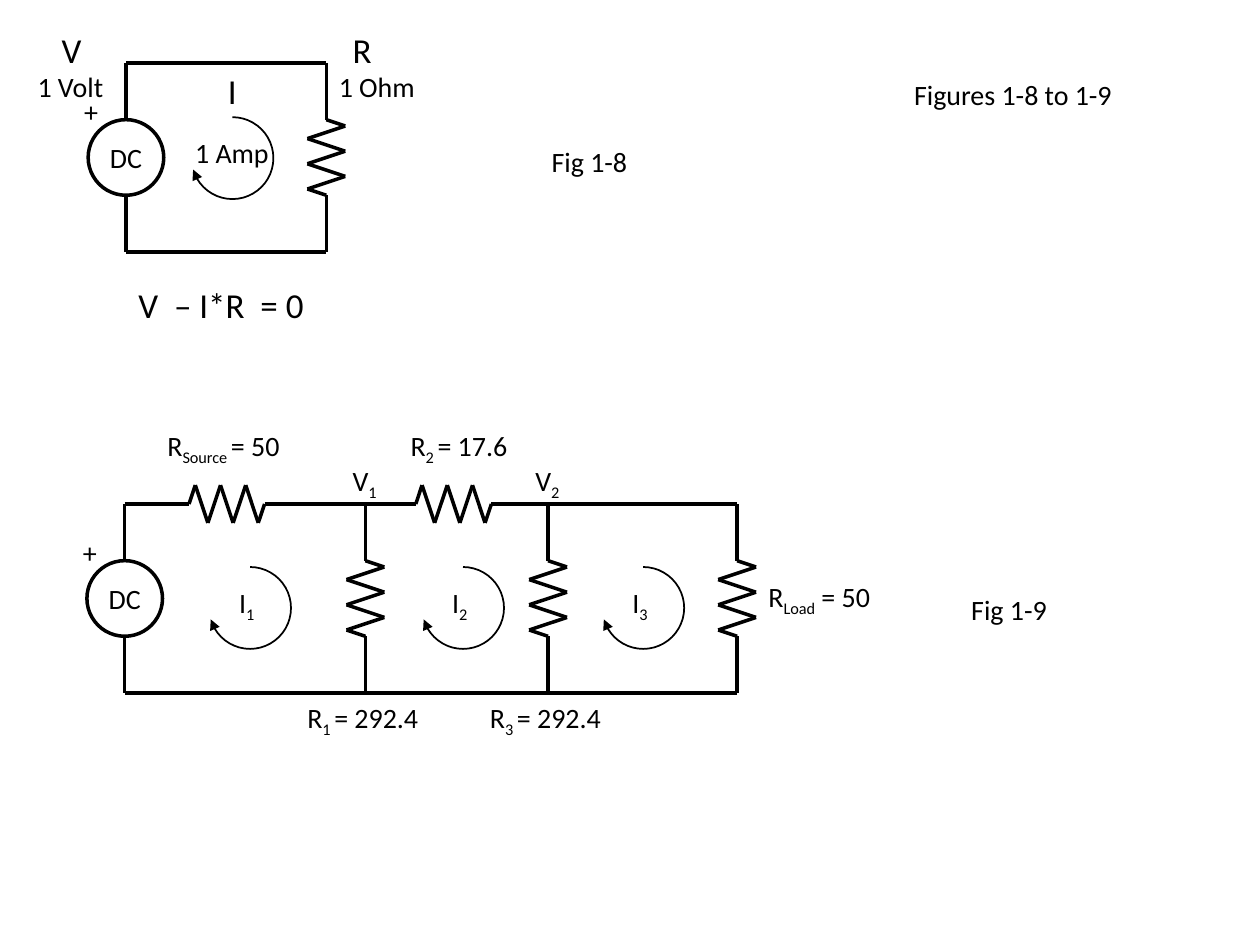
from dataclasses import dataclass
from itertools import pairwise

from lxml import etree
from pptx import Presentation
from pptx import util as u
from pptx.dml import color
from pptx.enum import shapes, text
from pptx.oxml import ns


@dataclass(frozen=True)
class Theme:
    ink: color.RGBColor = color.RGBColor(0, 0, 0)
    font: str = "Calibri"
    body: int = 16
    large: int = 20
    wire: float = 2
    loop: float = 1


THEME = Theme()
HEIGHT = 1.5
PART = 0.6
LEAD = (HEIGHT - PART) / 2
LOOP = 0.65
SWING = 0.15
ZIGZAG = [(0, 0), *[(SWING * (-1) ** i, 0.05 + 0.1 * i) for i in range(6)], (0, PART)]


def box(x, y, w, h):
    return [u.Inches(v) for v in (x, y, w, h)]


def write(tf, content, size=THEME.body, align=None, wrap=False):
    tf.word_wrap = wrap
    p = tf.paragraphs[0]
    p.alignment = align
    for i, part in enumerate(content.split("_")):
        if not part:
            continue
        r = p.add_run()
        r.text = part
        r.font.name, r.font.size = THEME.font, u.Pt(size)
        r.font.color.rgb = THEME.ink
        if i % 2:
            r._r.get_or_add_rPr().set("baseline", "-25000")


def label(s, content, x, y, w, **fmt):
    h = 0.44 if fmt.get("size") == THEME.large else 0.37
    tf = s.shapes.add_textbox(*box(x, y, w, h)).text_frame
    write(tf, content, **fmt)
    tf.auto_size = text.MSO_AUTO_SIZE.SHAPE_TO_FIT_TEXT


def outline(sp, width):
    sp.line.color.rgb = THEME.ink
    sp.line.width = u.Pt(width)


def wire(parent, x1, y1, x2, y2):
    ends = [u.Inches(v) for v in (x1, y1, x2, y2)]
    line = parent.shapes.add_connector(shapes.MSO_CONNECTOR.STRAIGHT, *ends)
    outline(line, THEME.wire)
    etree.SubElement(line._element.spPr, ns.qn("a:effectLst"))


def resistor(s, x, y, horizontal=False):
    group = s.shapes.add_group_shape()
    points = [(x + b, y - a) if horizontal else (x + a, y + b) for a, b in ZIGZAG]
    for start, end in pairwise(points):
        wire(group, *start, *end)


def leads(s, x, y):
    wire(s, x, y, x, y + LEAD)
    wire(s, x, y + LEAD + PART, x, y + HEIGHT)


def resistor_branch(s, x, y):
    leads(s, x, y)
    resistor(s, x, y + LEAD)


def source_branch(s, x, y):
    leads(s, x, y)
    sp = s.shapes.add_shape(
        shapes.MSO_SHAPE.OVAL, *box(x - PART / 2, y + LEAD, PART, PART))
    sp.shadow.inherit = False
    sp.fill.background()
    outline(sp, THEME.wire)
    tf = sp.text_frame
    tf.margin_left = tf.margin_right = tf.margin_top = tf.margin_bottom = 0
    tf.vertical_anchor = text.MSO_ANCHOR.MIDDLE
    write(tf, "DC", align=text.PP_ALIGN.CENTER, wrap=True)
    label(s, "+", x - 0.43, y + 0.2, 0.31)


def current_loop(s, x, y):
    sp = s.shapes.add_shape(shapes.MSO_SHAPE.ARC, *box(x, y, LOOP, LOOP))
    sp.adjustments[0], sp.adjustments[1] = 162, 98.286
    sp.shadow.inherit = False
    sp.fill.background()
    outline(sp, THEME.loop)
    etree.SubElement(sp.line._get_or_add_ln(), ns.qn("a:tailEnd"), type="triangle")


def single_loop(s, x, y, w):
    right, bottom = x + w, y + HEIGHT
    source_branch(s, x, y)
    resistor_branch(s, right, y)
    for level in (y, bottom):
        wire(s, x, level, right, level)
    current_loop(s, x + 0.52, y + 0.43)
    label(s, "1 Volt", x - 0.8, y, 0.74)
    label(s, "1 Ohm", right, y, 0.82)
    label(s, "1 Amp", x + 0.45, y + 0.53, 0.81)
    label(s, "V", x - 0.61, y - 0.32, 0.37, size=THEME.large)
    label(s, "R", right + 0.11, y - 0.32, 0.36, size=THEME.large)
    label(s, "I", x + 0.71, y, 0.28, size=THEME.large)
    label(s, "V  – I*R  = 0", x, bottom + 0.2, 1.54, size=THEME.large)
    label(s, "Fig 1-8", x + 3.28, y + 0.6, 0.81)


def ladder(s, x, y, w):
    right, bottom = x + w, y + HEIGHT
    shunts = [x + 1.91, x + 3.36]
    series = [x + 0.51, x + 2.31]
    source_branch(s, x, y)
    for branch in (*shunts, right):
        resistor_branch(s, branch, y)
    for left in series:
        resistor(s, left, y, horizontal=True)
    stops = [x, *[v for left in series for v in (left, left + PART)], right]
    for start, end in zip(stops[::2], stops[1::2]):
        wire(s, start, y, end, y)
    wire(s, x, bottom, right, bottom)
    for i, left in enumerate((x + 0.67, x + 2.36, x + 3.79), 1):
        current_loop(s, left, y + 0.5)
        label(s, f"I_{i}_", left + 0.14, y + 0.6, 0.33)
    for i, branch in enumerate(shunts, 1):
        label(s, f"V_{i}_", branch - 0.2, y - 0.37, 0.41)
        label(s, f"R_{2 * i - 1} _= 292.4", branch - 0.56, bottom + 0.01, 1.11)
    label(s, "R_Source _= 50", x + 0.24, y - 0.65, 1.15)
    label(s, "R_2 _= 17.6", x + 2.17, y - 0.65, 0.99)
    label(s, "R_Load_ = 50", right + 0.15, y + 0.55, 1.15, wrap=True)
    label(s, "Fig 1-9", x + 6.62, y + 0.65, 0.81)


def heading(s, x, y, w, h):
    sp = s.shapes.title
    sp.left, sp.top, sp.width, sp.height = box(x, y, w, h)
    tf = sp.text_frame
    tf.vertical_anchor = text.MSO_ANCHOR.MIDDLE
    write(tf, "Figures 1-8 to 1-9", align=text.PP_ALIGN.CENTER, wrap=True)


def main():
    prs = Presentation()
    prs.slide_width, prs.slide_height = u.Inches(10), u.Inches(7.5)
    s = prs.slides.add_slide(prs.slide_layouts[5])
    heading(s, 6.58, 0.3, 2.92, 0.9)
    single_loop(s, 1, 0.5, 1.59)
    ladder(s, 0.99, 4, 4.86)
    prs.save("out.pptx")


if __name__ == "__main__":
    main()
